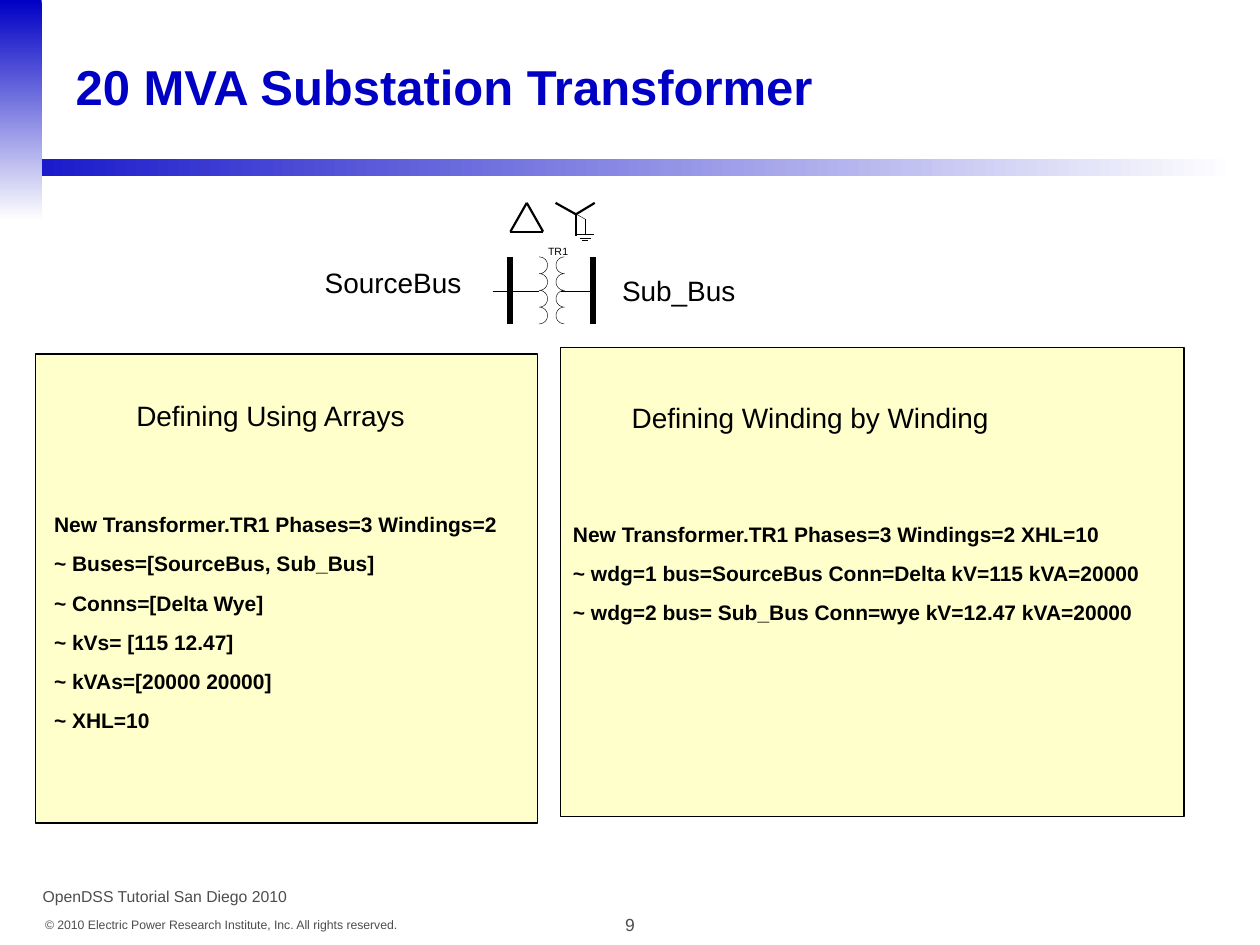
import math

import pptx
import pptx.dml.color
import pptx.enum.shapes
import pptx.enum.text
import pptx.oxml.ns
import pptx.util
from lxml import etree

Cm, Pt = pptx.util.Cm, pptx.util.Pt
RGBColor = pptx.dml.color.RGBColor
SHAPE = pptx.enum.shapes.MSO_SHAPE
ALIGN = pptx.enum.text.PP_ALIGN

BLUE = RGBColor(0x00, 0x00, 0xC5)
SOFT_BLUE = RGBColor(0x19, 0x19, 0xCB)
WHITE = RGBColor(0xFF, 0xFF, 0xFF)
BLACK = RGBColor(0x00, 0x00, 0x00)
GREY = RGBColor(0x4D, 0x4D, 0x4D)
CREAM = RGBColor(0xFF, 0xFF, 0xCC)
FONT = "Arial"
L, C, R = ALIGN.LEFT, ALIGN.CENTER, ALIGN.RIGHT
THIN, SYMBOL, BUS = 0.25, 1.25, 3.37

# Content: all positions and sizes in cm
TITLE = "20 MVA Substation Transformer"

# box, first colour, last colour, angle
GRADIENTS = [
    ((0.64, 3.2, 24.28, 0.36), SOFT_BLUE, WHITE, 0),
    ((0, 0, 0.84, 4.45), BLUE, WHITE, 270),
]
PANELS = [(11.3, 7.01, 12.57, 9.45), (0.71, 7.14, 10.13, 9.45)]

ARRAY_CODE = [
    "New Transformer.TR1 Phases=3 Windings=2",
    "~ Buses=[SourceBus, Sub_Bus]",
    "~ Conns=[Delta Wye]",
    "~ kVs= [115 12.47]",
    "~ kVAs=[20000 20000]",
    "~ XHL=10",
]
WINDING_CODE = [
    "New Transformer.TR1 Phases=3 Windings=2 XHL=10",
    "~ wdg=1 bus=SourceBus Conn=Delta kV=115 kVA=20000",
    "~ wdg=2 bus= Sub_Bus Conn=wye kV=12.47 kVA=20000",
]

# box, lines, size, alignment
CODE = [
    ((0.84, 10.19, 11.51, 5.41), ARRAY_CODE, 12, L),
    ((11.3, 10.39, 13.18, 3.1), WINDING_CODE, 12, L),
]
LABELS = [
    ((1.19, 7.9, 8.53, 0.94), ["Defining Using Arrays"], 16, C),
    ((12.07, 7.95, 8.53, 0.94), ["Defining Winding by Winding"], 16, C),
    ((12.29, 5.38, 4.85, 0.94), ["Sub_Bus"], 16, L),
    ((4.7, 5.23, 4.85, 0.94), ["SourceBus"], 16, R),
]
TAGS = [
    ((10.44, 4.93, 1.5, 0.25), ["TR"], 6, C),
    ((10.72, 4.93, 1.35, 0.25), ["1"], 6, C),
]
PAGE_NUMBER = ((11.86, 18.31, 1.68, 0.69), ["9"], 10, C)
COPYRIGHT = (
    (0.64, 18.36, 7.62, 0.56),
    ["© 2010 Electric Power Research Institute, Inc. All rights reserved."], 7, R)
FOOTER = ((0.61, 17.75, 6.86, 0.64), ["OpenDSS Tutorial San Diego 2010"], 9, L)

# Transformer diagram
BUS_TOP, BUS_BOTTOM, MIDDLE = 5.18, 6.53, 5.87
LEFT_BUS, RIGHT_BUS = 10.29, 11.96
COILS = [(10.87, 0.17), (11.38, -0.17)]  # x of the ends, bulge
TURNS, STEPS = 4, 16
DELTA = [(10.29, 4.67), (10.95, 4.67), (10.62, 4.09)]
STAR = (11.61, 4.32)
STAR_TIPS = [(11.61, 4.75), (11.99, 4.09), (11.2, 4.09)]
GROUND_X, GROUND_TOP = 11.8, 4.42
GROUND_BARS = [(0.06, 4.85), (0.11, 4.8), (0.17, 4.72)]  # half width, y


def add_text(s, box, lines, size, align, color=BLACK, bold=False,
             wrap=True, inset=True):
    tf = s.shapes.add_textbox(*map(Cm, box)).text_frame
    tf.word_wrap = wrap
    if not inset:
        tf.margin_left = tf.margin_right = tf.margin_top = tf.margin_bottom = 0
    for i, line in enumerate(lines):
        p = tf.paragraphs[0] if i == 0 else tf.add_paragraph()
        p.text = line
        p.alignment = align
        if i:
            p.space_before = Pt(8)
        p.font.name, p.font.size, p.font.bold = FONT, Pt(size), bold
        p.font.color.rgb = color


def add_rect(s, box):
    sp = s.shapes.add_shape(SHAPE.RECTANGLE, *map(Cm, box))
    sp.shadow.inherit = False
    return sp


def add_line(s, start, end, width):
    ln = s.shapes.add_connector(
        pptx.enum.shapes.MSO_CONNECTOR.STRAIGHT, *map(Cm, start + end))
    ln.line.color.rgb, ln.line.width = BLACK, Pt(width)
    etree.SubElement(ln._element.spPr, pptx.oxml.ns.qn("a:effectLst"))


def add_coil(s, x, bulge):
    turn = (BUS_BOTTOM - BUS_TOP) / TURNS
    points = []
    for i in range(TURNS * STEPS + 1):
        n, k = divmod(i, STEPS)
        a = math.pi * k / STEPS
        y = BUS_TOP + turn * (n + (1 - math.cos(a)) / 2)
        points.append((Cm(x + bulge * math.sin(a)), Cm(y)))
    fb = s.shapes.build_freeform(*points[0])
    fb.add_line_segments(points[1:], close=False)
    sp = fb.convert_to_shape()
    sp.shadow.inherit = False
    sp.fill.background()
    sp.line.color.rgb, sp.line.width = BLACK, Pt(THIN)


def add_transformer(s):
    # Buses, leads and windings
    for x in (LEFT_BUS, RIGHT_BUS):
        add_line(s, (x, BUS_TOP), (x, BUS_BOTTOM), BUS)
    for x1, x2 in ((9.93, LEFT_BUS), (RIGHT_BUS, 11.3), (10.87, LEFT_BUS)):
        add_line(s, (x1, MIDDLE), (x2, MIDDLE), THIN)
    for x, bulge in COILS:
        add_coil(s, x, bulge)

    # Delta and grounded wye symbols
    for start, end in zip(DELTA, DELTA[1:] + DELTA[:1]):
        add_line(s, start, end, SYMBOL)
    for tip in STAR_TIPS:
        add_line(s, STAR, tip, SYMBOL)
    for half, y in GROUND_BARS:
        add_line(s, (GROUND_X - half, y), (GROUND_X + half, y), THIN)
    ground = (GROUND_X, GROUND_TOP)
    add_line(s, ground, (GROUND_X, GROUND_BARS[-1][1]), THIN)
    add_line(s, ground, (11.53, 4.27), THIN)


def main():
    prs = pptx.Presentation()
    prs.slide_width, prs.slide_height = Cm(25.4), Cm(19.05)
    s = prs.slides.add_slide(prs.slide_layouts[5])

    # Gradient bands and footer
    for box, first, last, angle in GRADIENTS:
        sp = add_rect(s, box)
        sp.line.fill.background()
        sp.fill.gradient()
        sp.fill.gradient_angle = angle
        for stop, color, at in zip(sp.fill.gradient_stops, (first, last), (0, 1)):
            stop.color.rgb, stop.position = color, at
    add_text(s, *PAGE_NUMBER, GREY)
    add_text(s, *COPYRIGHT, GREY, wrap=False)
    add_text(s, *FOOTER, GREY)

    # Title
    sp = s.shapes.title
    sp.left, sp.top, sp.width, sp.height = map(Cm, (1.27, 0.51, 22.86, 2.54))
    tf = sp.text_frame
    tf.text = TITLE
    tf.vertical_anchor = pptx.enum.text.MSO_ANCHOR.MIDDLE
    p = tf.paragraphs[0]
    p.alignment, p.line_spacing = L, 0.95
    p.font.name, p.font.size, p.font.bold = FONT, Pt(28), True
    p.font.color.rgb = BLUE

    # Panels, diagram and text
    for box in PANELS:
        sp = add_rect(s, box)
        sp.fill.solid()
        sp.fill.fore_color.rgb = CREAM
        sp.line.color.rgb, sp.line.width = BLACK, Pt(0.75)
    add_transformer(s)
    for tag in TAGS:
        add_text(s, *tag, wrap=False, inset=False)
    for code in CODE:
        add_text(s, *code, bold=True)
    for label in LABELS:
        add_text(s, *label)

    prs.save("out.pptx")


if __name__ == "__main__":
    main()
